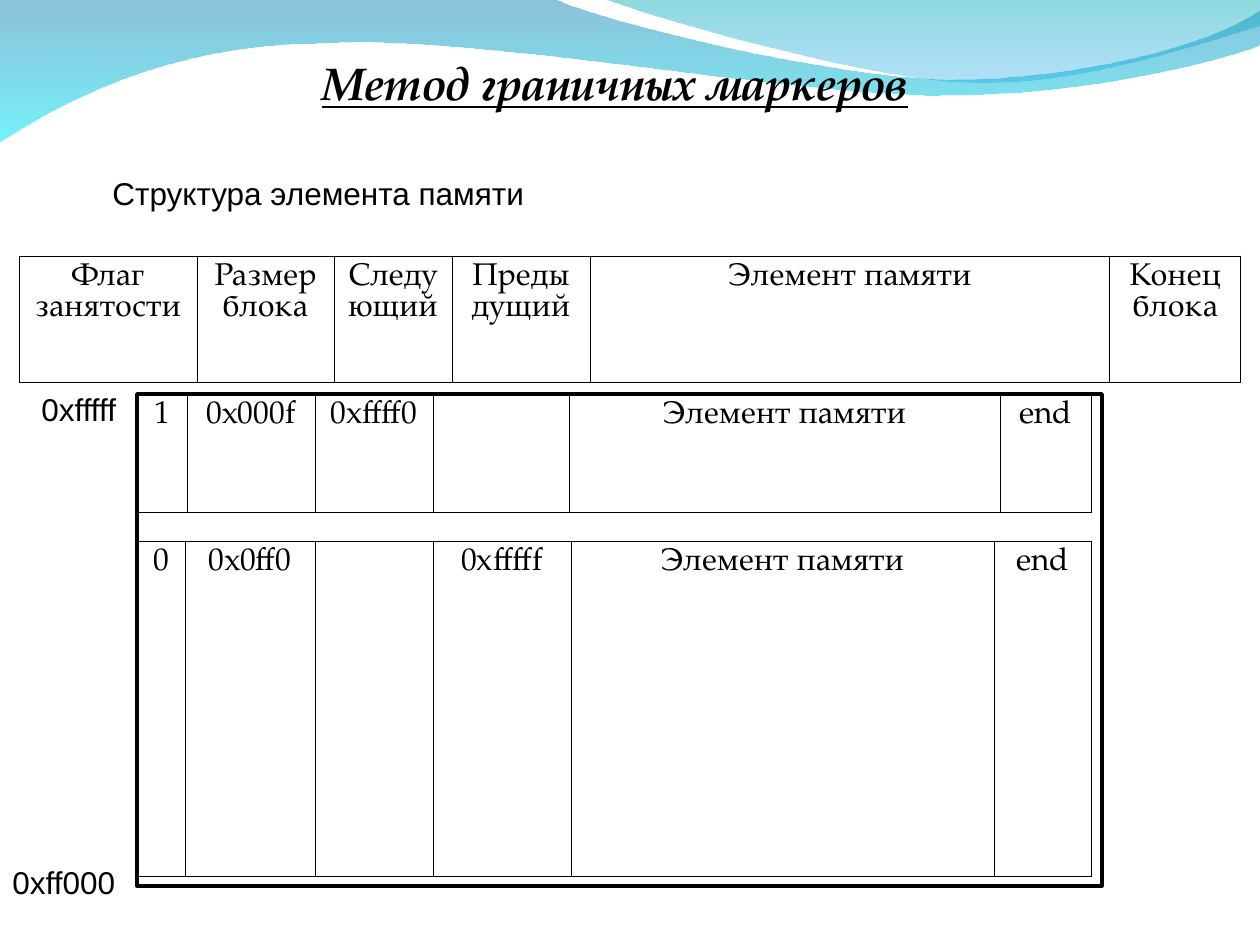
from dataclasses import dataclass

from lxml.etree import SubElement
from pptx import Presentation
from pptx.dml.color import RGBColor
from pptx.enum.shapes import MSO_SHAPE
from pptx.enum.text import MSO_AUTO_SIZE, PP_ALIGN
from pptx.oxml.ns import qn
from pptx.slide import Slide
from pptx.text.text import TextFrame
from pptx.util import Emu, Pt

EMU_PER_PX = 914400 / 126
BLACK = "000000"
SERIF = "TeX Gyre Pagella"
SANS = "Arial"


@dataclass
class Wave:
    """An outline: a 2-tuple is a line end, a 6-tuple a Bézier segment."""
    start: tuple[int, int]
    segments: list[tuple[int, ...]]
    stops: list[tuple[str, int]]


@dataclass
class MemoryRow:
    left: int
    top: int
    height: int
    widths: list[int]
    texts: list[str]


@dataclass
class Label:
    text: str
    left: int
    top: int
    width: int
    height: int


WAVES = [
    Wave((0, -1),
         [(554, -1), (600, 21, 837, 79, 955, 79), (1075, 79, 1207, 47, 1260, 11),
          (1261, 45), (1239, 55, 1096, 96, 940, 95), (784, 95, 481, 35, 324, 43),
          (163, 44, 58, 105, -1, 142)],
         [("0079AF", 45), ("00EBF8", 55)]),
    Wave((604, -1),
         [(641, 14, 859, 78, 969, 82), (1079, 87, 1211, 40, 1260, 26), (1260, 0)],
         [("00ADB6", 45), ("009BE5", 30)]),
]

FIELDS = MemoryRow(19, 256, 126, [178, 137, 118, 138, 520, 131],
                   ["Флаг занятости", "Размер блока", "Следующий", "Предыдущий",
                    "Элемент памяти", "Конец блока"])
BLOCKS = [
    MemoryRow(137, 394, 118, [50, 128, 118, 136, 431, 92],
              ["1", "0х000f", "0xffff0", "", "Элемент памяти", "end"]),
    MemoryRow(137, 541, 335, [48, 130, 118, 138, 423, 98],
              ["0", "0х0ff0", "", "0xfffff", "Элемент памяти", "end"]),
]
CAPTION = Label("Структура элемента памяти", 100, 168, 437, 50)
ADDRESSES = [
    Label("0xfffff", 29, 384, 102, 50),
    Label("0xff000", 0, 857, 129, 50),
]


def px(length: float) -> Emu:
    return Emu(round(length * EMU_PER_PX))


def rgb(hex_color: str) -> RGBColor:
    return RGBColor.from_string(hex_color)


def write_text(frame: TextFrame, text: str, *, font: str = SERIF, size: int = 18,
               color: str = BLACK, align: PP_ALIGN = PP_ALIGN.LEFT,
               bold: bool = False, italic: bool = False,
               underline: bool = False) -> None:
    paragraph = frame.paragraphs[0]
    paragraph.alignment = align
    run = paragraph.add_run()
    run.text = text
    run.font.name = font
    run.font.size = Pt(size)
    run.font.color.rgb = rgb(color)
    run.font.bold = bold
    run.font.italic = italic
    run.font.underline = underline


def draw_wave(slide: Slide, wave: Wave) -> None:
    """Draw straight edges between the nodes, then bend the Bézier ones."""
    nodes = [(px(segment[-2]), px(segment[-1])) for segment in wave.segments]
    builder = slide.shapes.build_freeform(px(wave.start[0]), px(wave.start[1]))
    builder.add_line_segments(nodes, close=True)
    shape = builder.convert_to_shape()
    properties = shape._element.spPr
    edges = list(properties.iter(qn("a:lnTo")))
    for edge, segment in zip(edges, wave.segments):
        if len(segment) == 6:
            curve = edge.getparent().makeelement(qn("a:cubicBezTo"))
            for x, y in zip(segment[0::2], segment[1::2]):
                SubElement(curve, qn("a:pt"), x=str(px(x) - shape.left),
                           y=str(px(y) - shape.top))
            edge.getparent().replace(edge, curve)
    shape.shadow.inherit = False
    shape.line.fill.background()
    shape.fill.gradient()
    shape.fill.gradient_angle = 270
    for stop, (color, _) in zip(shape.fill.gradient_stops, wave.stops):
        stop.color.rgb = rgb(color)
    for element, (_, opacity) in zip(properties.iter(qn("a:srgbClr")), wave.stops):
        SubElement(element, qn("a:alpha"), val=str(opacity * 1000))


def draw_memory_row(slide: Slide, row: MemoryRow) -> None:
    frame = slide.shapes.add_table(1, len(row.widths), px(row.left), px(row.top),
                                   px(sum(row.widths)), px(row.height))
    table = frame.table
    table.first_row = False
    table.horz_banding = False
    for column, width, cell, text in zip(table.columns, row.widths,
                                         table.iter_cells(), row.texts):
        column.width = px(width)
        properties = cell._tc.get_or_add_tcPr()
        for side in ("a:lnL", "a:lnR", "a:lnT", "a:lnB"):
            border = SubElement(properties, qn(side), w=str(Pt(0.45)))
            solid = SubElement(border, qn("a:solidFill"))
            SubElement(solid, qn("a:srgbClr"), val=BLACK)
        cell.fill.background()
        if text:
            write_text(cell.text_frame, text, align=PP_ALIGN.CENTER)


def draw_label(slide: Slide, label: Label) -> None:
    box = slide.shapes.add_textbox(px(label.left), px(label.top),
                                   px(label.width), px(label.height))
    box.text_frame.word_wrap = False
    box.text_frame.auto_size = MSO_AUTO_SIZE.SHAPE_TO_FIT_TEXT
    write_text(box.text_frame, label.text, font=SANS)


def draw_title(slide: Slide) -> None:
    box = slide.shapes.add_textbox(0, px(49), px(1230), px(847))
    box.text_frame.word_wrap = True
    box.text_frame.margin_top = px(6)
    write_text(box.text_frame, "Метод граничных маркеров", size=26,
               align=PP_ALIGN.CENTER, bold=True, italic=True, underline=True)


def draw_memory_frame(slide: Slide) -> None:
    memory = slide.shapes.add_shape(MSO_SHAPE.RECTANGLE, px(137), px(394),
                                    px(965), px(492))
    memory.shadow.inherit = False
    memory.fill.background()
    memory.line.color.rgb = rgb(BLACK)
    memory.line.width = Pt(2)


def main() -> None:
    presentation = Presentation()
    presentation.slide_width = px(1260)
    presentation.slide_height = px(945)
    slide = presentation.slides.add_slide(presentation.slide_layouts[6])
    for wave in WAVES:
        draw_wave(slide, wave)
    draw_title(slide)
    draw_label(slide, CAPTION)
    draw_memory_row(slide, FIELDS)
    draw_memory_frame(slide)
    for block in BLOCKS:
        draw_memory_row(slide, block)
    for address in ADDRESSES:
        draw_label(slide, address)
    presentation.save("out.pptx")


if __name__ == "__main__":
    main()
